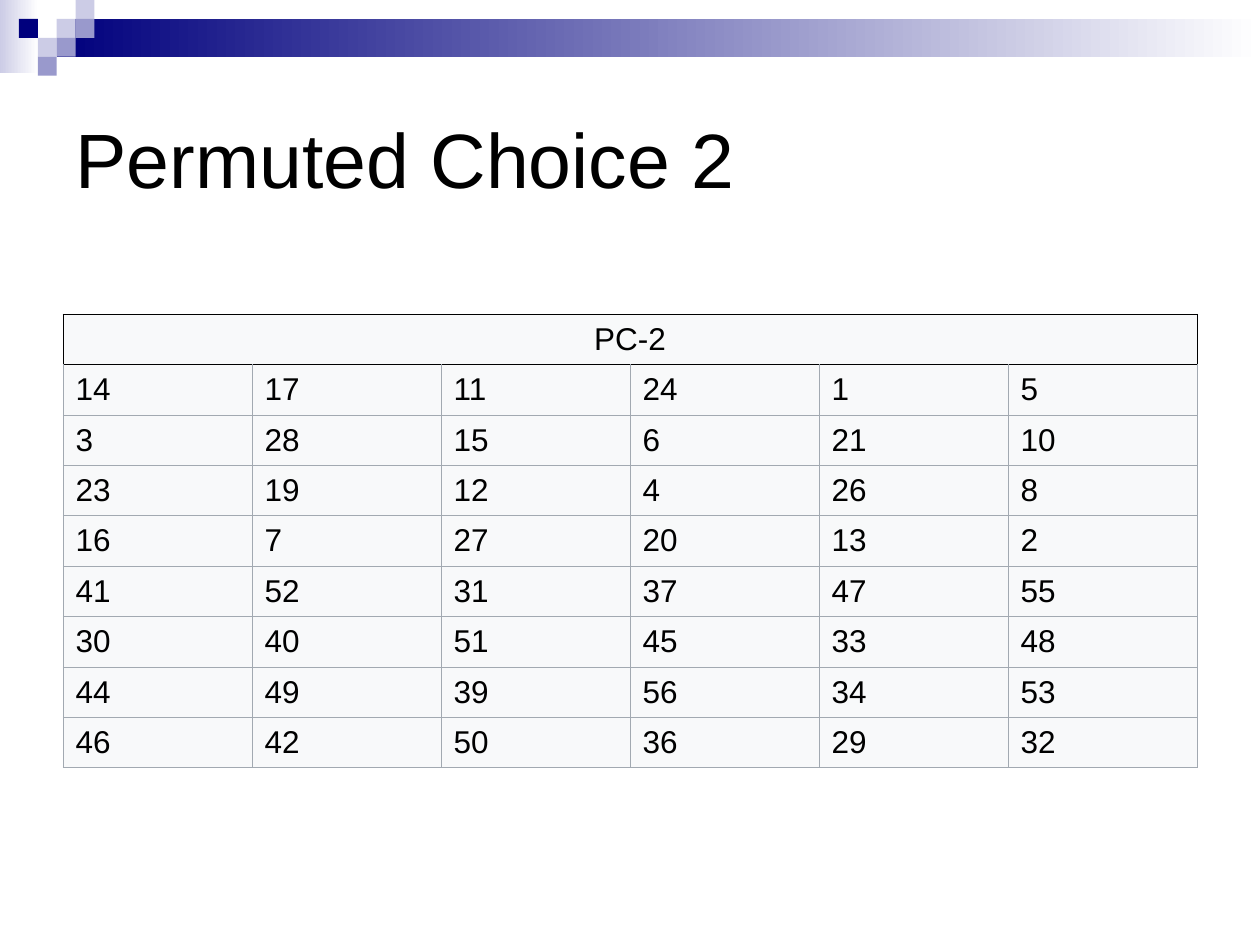
from lxml.etree import SubElement
from pptx import Presentation
from pptx.dml.color import RGBColor
from pptx.enum.shapes import MSO_SHAPE as Shape
from pptx.enum.text import MSO_ANCHOR as Anchor, PP_ALIGN as Align
from pptx.oxml.ns import qn
from pptx.util import Pt

COLORS = {
    "navy": "00007D",
    "violet": "9999CC",
    "lavender": "CCCCE6",
    "white": "FFFFFF",
    "black": "000000",
    "cell": "F8F9FA",
    "grid": "A2A9B1",
}
TILE = 10.8


def add_block(left, top, width, height, color, fade=False):
    block = page.shapes.add_shape(Shape.RECTANGLE, Pt(left), Pt(top), Pt(width), Pt(height))
    block.shadow.inherit = False
    block.line.fill.background()
    if fade:
        block.fill.gradient()
        block.fill.gradient_angle = 0
        for stop, name in zip(block.fill.gradient_stops, (color, "white")):
            stop.color.rgb = RGBColor.from_string(COLORS[name])
    else:
        block.fill.solid()
        block.fill.fore_color.rgb = RGBColor.from_string(COLORS[color])


def style_cell(cell, borders):
    cell.fill.solid()
    cell.fill.fore_color.rgb = RGBColor.from_string(COLORS["cell"])
    cell.vertical_anchor = Anchor.MIDDLE
    properties = cell._tc.get_or_add_tcPr()
    for index, (side, color) in enumerate(zip("LRTB", borders)):
        width = Pt(0.45 if color == "black" else 0.34)
        line = SubElement(properties, qn(f"a:ln{side}"), w=str(width))
        fill = SubElement(line, qn("a:solidFill"))
        SubElement(fill, qn("a:srgbClr"), val=COLORS[color])
        properties.insert(index, line)


deck = Presentation()
deck.slide_width, deck.slide_height = Pt(720), Pt(540)
page = deck.slides.add_slide(deck.slide_layouts[5])

add_block(0, 0, 22, 42, "lavender", fade=True)
add_block(3 * TILE, TILE, 720 - 3 * TILE, 2 * TILE, "navy", fade=True)
for column, row, color in [
    (3, 1, "lavender"),
    (4, 0, "lavender"),
    (4, 1, "violet"),
    (2, 2, "lavender"),
    (1, 1, "navy"),
    (3, 2, "violet"),
    (2, 3, "violet"),
]:
    add_block(column * TILE, row * TILE, TILE, TILE, color)

title = page.shapes.title
title.left, title.top, title.width, title.height = Pt(36), Pt(36), Pt(648), Pt(108)
title.text_frame.text = "Permuted Choice 2"
title.text_frame.vertical_anchor = Anchor.MIDDLE
heading = title.text_frame.paragraphs[0]
heading.alignment = Align.LEFT
heading.font.name = "Arial"
heading.font.size = Pt(44)
heading.font.color.rgb = RGBColor.from_string(COLORS["black"])

rows = [
    ["PC-2", "", "", "", "", ""],
    [14, 17, 11, 24, 1, 5],
    [3, 28, 15, 6, 21, 10],
    [23, 19, 12, 4, 26, 8],
    [16, 7, 27, 20, 13, 2],
    [41, 52, 31, 37, 47, 55],
    [30, 40, 51, 45, 33, 48],
    [44, 49, 39, 56, 34, 53],
    [46, 42, 50, 36, 29, 32],
]
table = page.shapes.add_table(
    len(rows), len(rows[0]), Pt(36), Pt(179.5), Pt(648), Pt(28.8 * len(rows))
).table
table.first_row = table.horz_banding = False
table.cell(0, 0).merge(table.cell(0, 5))

for row, values in enumerate(rows):
    for column, value in enumerate(values):
        cell = table.cell(row, column)
        if row == 0:
            borders = ["black"] * 4
        else:
            borders = ["grid", "grid", "black" if row == 1 else "grid", "grid"]
        style_cell(cell, borders)
        if value == "":
            continue
        cell.text = str(value)
        para = cell.text_frame.paragraphs[0]
        para.alignment = Align.CENTER if row == 0 else Align.LEFT
        para.font.name = "Arial"
        para.font.size = Pt(18)
        para.font.color.rgb = RGBColor.from_string(COLORS["black"])

deck.save("out.pptx")
